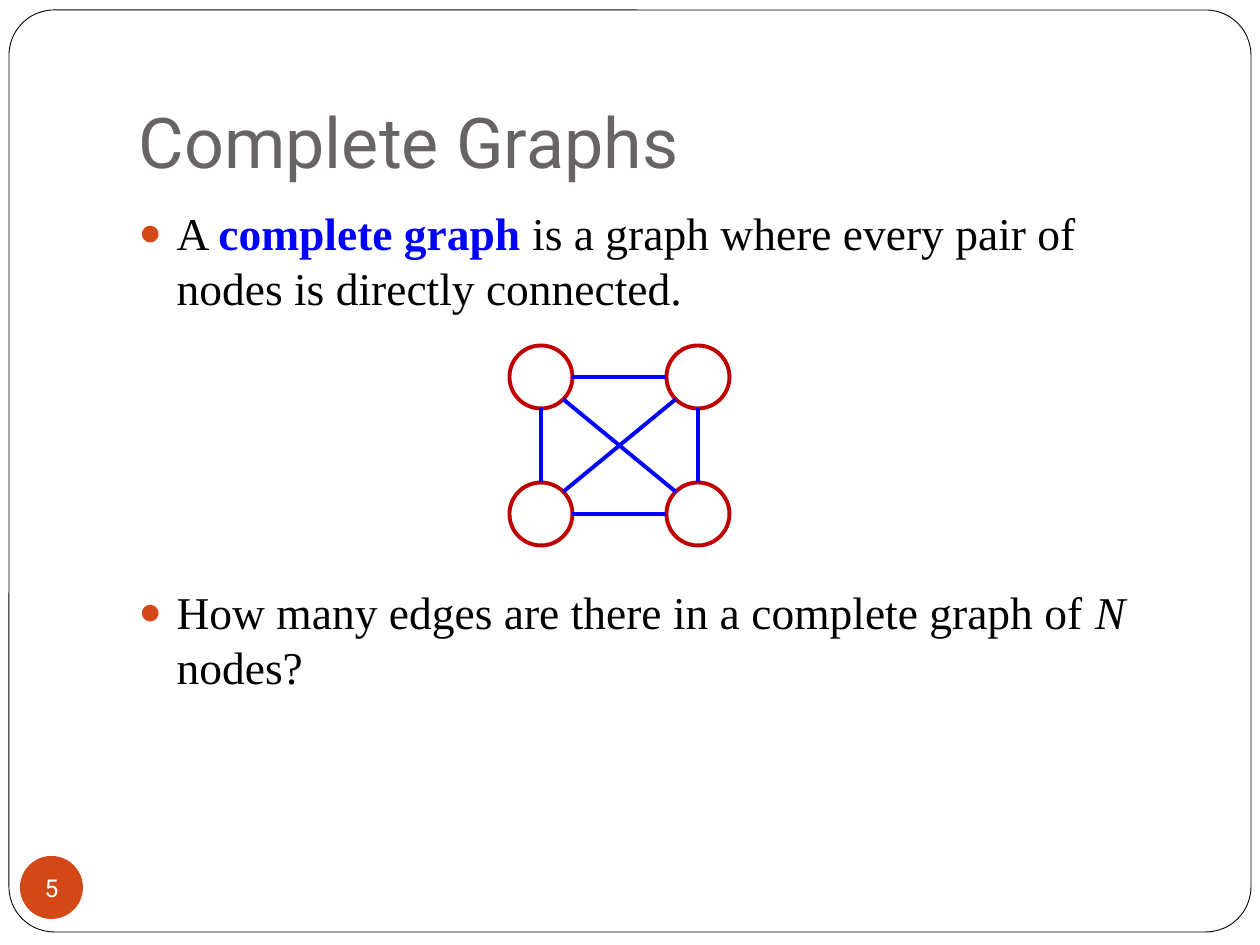
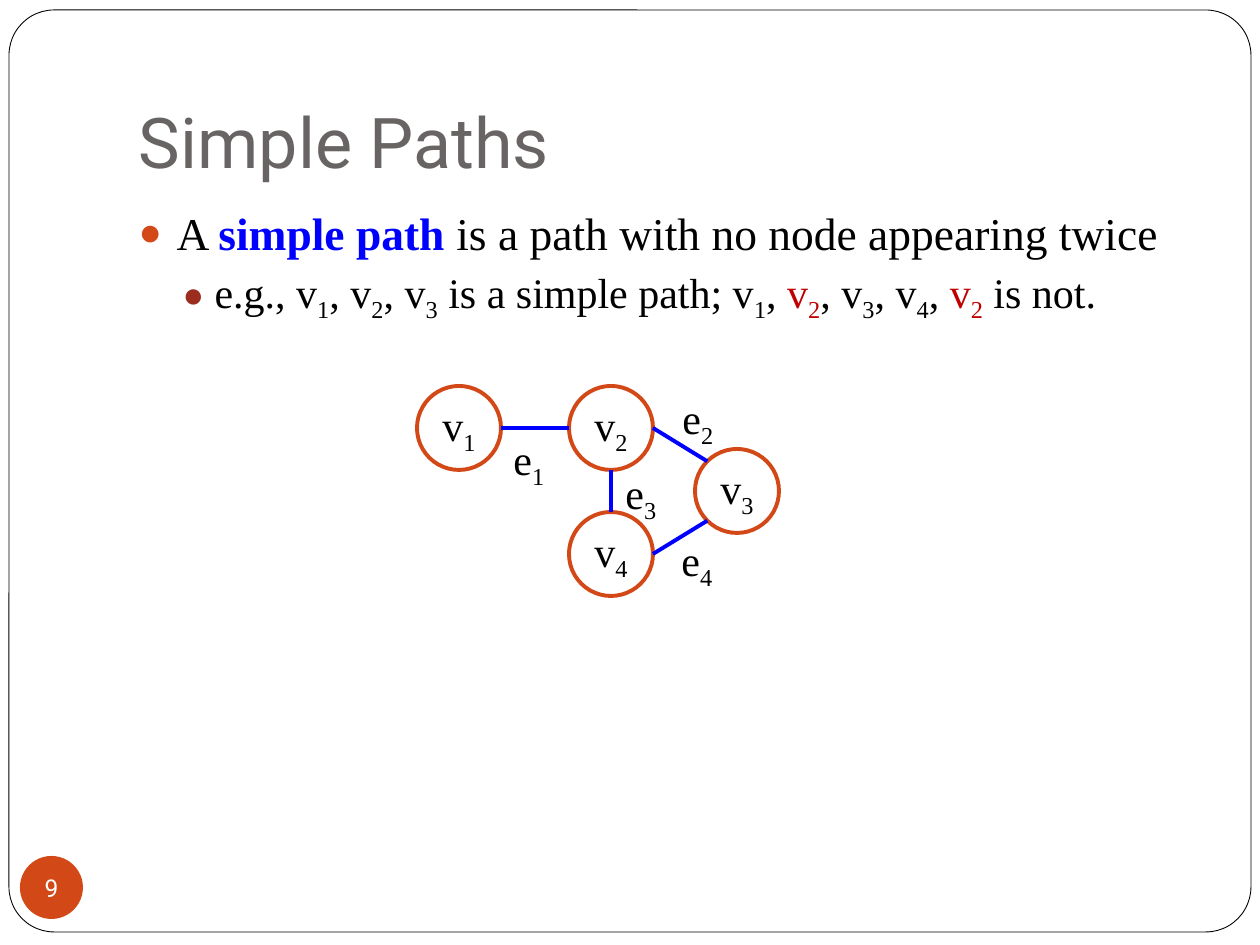
from dataclasses import dataclass
from math import sqrt

from lxml import etree
from pptx import Presentation
from pptx.dml.color import RGBColor
from pptx.enum.shapes import MSO_CONNECTOR, MSO_SHAPE
from pptx.enum.text import MSO_ANCHOR, MSO_AUTO_SIZE, PP_ALIGN
from pptx.oxml.ns import qn
from pptx.util import Emu, Pt

ELLIPSE, ROUNDED = MSO_SHAPE.OVAL, MSO_SHAPE.ROUNDED_RECTANGLE
STRAIGHT = MSO_CONNECTOR.STRAIGHT
MIDDLE, BOTTOM, TOP = MSO_ANCHOR.MIDDLE, MSO_ANCHOR.BOTTOM, MSO_ANCHOR.TOP
LEFT, CENTER = PP_ALIGN.LEFT, PP_ALIGN.CENTER
NO_AUTOFIT, GROW = MSO_AUTO_SIZE.NONE, MSO_AUTO_SIZE.SHAPE_TO_FIT_TEXT

PIXELS_PER_INCH = 126
DIAGONAL = sqrt(0.5)
RIM = {
    "top": (0, -1), "bottom": (0, 1), "left": (-1, 0), "right": (1, 0),
    "top left": (-DIAGONAL, -DIAGONAL), "top right": (DIAGONAL, -DIAGONAL),
    "bottom left": (-DIAGONAL, DIAGONAL), "bottom right": (DIAGONAL, DIAGONAL),
}


@dataclass(frozen=True)
class Theme:
    """Colours, fonts and type sizes of the deck."""
    heading_font: str = "Roboto"
    text_font: str = "Times New Roman"
    title: str = "696464"
    text: str = "000000"
    paper: str = "FFFFFF"
    accent: str = "D34817"
    second_bullet: str = "9B2D1F"
    blue: str = "0000FF"
    red: str = "C00000"
    title_size: int = 40
    body_size: int = 26
    graph_size: int = 24
    number_size: int = 14
    frame_width: float = 0.5
    graph_width: float = 2.25


THEME = Theme()
LEVELS = (
    {"size": THEME.body_size, "margin": 38, "hanging": 38, "before": 5.8, "bullet": THEME.accent},
    {"size": THEME.graph_size, "margin": 76, "hanging": 32, "before": 3.7, "bullet": THEME.second_bullet},
)
TERM = {"bold": True, "color": THEME.blue}
REPEATED = {"color": THEME.red}


def px(pixels):
    """Turn pixels into EMU."""
    return Emu(round(pixels * 914400 / PIXELS_PER_INCH))


def box(left, top, width, height):
    """Turn a pixel rectangle into EMU lengths."""
    return [px(length) for length in (left, top, width, height)]


def apply_format(target, values):
    """Set each named attribute of the target."""
    for name, value in values.items():
        setattr(target, name, value)


def indexed(letter, index, values=None):
    """Return the runs of a letter with a subscript."""
    values = values or {}
    return [(letter, values), (str(index), {**values, "subscript": True})]


def add_runs(paragraph, runs, size, font=THEME.text_font, color=THEME.text):
    """Append formatted runs to a paragraph."""
    for text, values in runs:
        run = paragraph.add_run()
        run.text = text
        apply_format(run.font, {"name": font, "size": Pt(size),
                                "bold": values.get("bold", False),
                                "italic": values.get("italic", False)})
        run.font.color.rgb = RGBColor.from_string(values.get("color", color))
        if values.get("subscript"):
            run._r.get_or_add_rPr().set("baseline", "-25000")


def add_shape(shapes, kind, bounds, fill=None, line=None, width=THEME.graph_width):
    """Add a flat preset shape."""
    shape = shapes.add_shape(kind, *box(*bounds))
    shape.shadow.inherit = False
    if fill:
        shape.fill.solid()
        shape.fill.fore_color.rgb = RGBColor.from_string(fill)
    else:
        shape.fill.background()
    if line:
        shape.line.color.rgb = RGBColor.from_string(line)
        shape.line.width = Pt(width)
    else:
        shape.line.fill.background()
    return shape


def add_frame(slide, master):
    """Draw the rounded page frame and hand it to the master."""
    frame = add_shape(slide.shapes, ROUNDED, (9, 10, 1242, 922),
                      THEME.paper, THEME.text, THEME.frame_width)
    frame.adjustments[0] = 0.049
    frame.element.nvSpPr.cNvPr.set("id", "20")
    master.shapes[0].element.addprevious(frame.element)


def add_number(slide, number):
    """Add the round page number."""
    badge = add_shape(slide.shapes, ELLIPSE, (20, 856, 63, 63), THEME.accent)
    apply_format(badge.text_frame, {
        "margin_left": 0, "margin_right": 0, "margin_top": 0, "margin_bottom": 0,
        "vertical_anchor": MIDDLE, "word_wrap": False})
    paragraph = badge.text_frame.paragraphs[0]
    paragraph.alignment = CENTER
    add_runs(paragraph, [(str(number), {})], THEME.number_size,
             THEME.heading_font, THEME.paper)


def place(shape, bounds):
    """Move a placeholder to pixel bounds."""
    apply_format(shape, dict(zip(("left", "top", "width", "height"), box(*bounds))))


def set_title(slide, text):
    """Fill and format the title placeholder."""
    title = slide.shapes.title
    place(title, (126, 38, 1071, 158))
    apply_format(title.text_frame, {
        "vertical_anchor": BOTTOM, "auto_size": NO_AUTOFIT, "word_wrap": True,
        "margin_left": px(13), "margin_right": px(13),
        "margin_top": px(6), "margin_bottom": px(13)})
    paragraph = title.text_frame.paragraphs[0]
    paragraph.alignment = LEFT
    add_runs(paragraph, [(text, {})], THEME.title_size, THEME.heading_font, THEME.title)


def set_bullet(paragraph, level):
    """Give a paragraph its hanging indent and coloured bullet."""
    properties = paragraph._p.get_or_add_pPr()
    properties.set("marL", str(px(level["margin"])))
    properties.set("indent", str(-px(level["hanging"])))
    color = etree.SubElement(properties, qn("a:buClr"))
    etree.SubElement(color, qn("a:srgbClr"), val=level["bullet"])
    etree.SubElement(properties, qn("a:buSzPct"), val="85000")
    etree.SubElement(properties, qn("a:buChar"), char="●")


def set_body(slide, items):
    """Fill the body placeholder with (level, space before, runs) items."""
    body = slide.placeholders[1]
    place(body, (126, 199, 1071, 630))
    frame = body.text_frame
    apply_format(frame, {"vertical_anchor": TOP, "auto_size": NO_AUTOFIT, "word_wrap": True})
    for position, (depth, before, runs) in enumerate(items):
        paragraph = frame.add_paragraph() if position else frame.paragraphs[0]
        level = LEVELS[depth]
        apply_format(paragraph, {"level": depth,
                                 "space_before": Pt(before or level["before"])})
        set_bullet(paragraph, level)
        add_runs(paragraph, runs, level["size"])


def add_node(shapes, center, diameter, color, runs=()):
    """Add a graph node around its centre."""
    left, top = (position - diameter / 2 for position in center)
    node = add_shape(shapes, ELLIPSE, (left, top, diameter, diameter), line=color)
    if runs:
        node.text_frame.vertical_anchor = MIDDLE
        paragraph = node.text_frame.paragraphs[0]
        paragraph.alignment = CENTER
        add_runs(paragraph, runs, THEME.graph_size)


def rim_point(center, diameter, side):
    """Return the point of a node's rim on the named side."""
    return [px(position + diameter / 2 * step) for position, step in zip(center, RIM[side])]


def add_edges(shapes, centers, diameter, edges):
    """Join node rims with lines."""
    for start, start_side, end, end_side in edges:
        line = shapes.add_connector(STRAIGHT, *rim_point(centers[start], diameter, start_side),
                                    *rim_point(centers[end], diameter, end_side))
        line.line.color.rgb = RGBColor.from_string(THEME.blue)
        line.line.width = Pt(THEME.graph_width)
        etree.SubElement(line.element.spPr, qn("a:effectLst"))


def add_edge_label(shapes, left, top, index):
    """Add the name of an edge on one line."""
    label = shapes.add_textbox(*box(left, top, 55, 63))
    apply_format(label.text_frame, {"word_wrap": True, "auto_size": GROW, "margin_right": 0})
    add_runs(label.text_frame.paragraphs[0], indexed("e", index), THEME.graph_size)


def add_complete_graph(slide):
    """Draw four nodes with every pair joined."""
    shapes = slide.shapes.add_group_shape().shapes
    diameter = 63
    centers = [(x, y) for y in (377, 514) for x in (541, 698)]
    for center in centers:
        add_node(shapes, center, diameter, THEME.red)
    add_edges(shapes, centers, diameter, (
        (0, "right", 1, "left"), (2, "right", 3, "left"),
        (0, "bottom", 2, "top"), (1, "bottom", 3, "top"),
        (0, "bottom right", 3, "top left"), (1, "bottom left", 2, "top right")))


def add_path_graph(slide):
    """Draw the named nodes and edges of the path example."""
    shapes = slide.shapes.add_group_shape().shapes
    diameter = 84
    centers = {1: (459, 428), 2: (611, 428), 3: (737, 491), 4: (611, 554)}
    for index, center in centers.items():
        add_node(shapes, center, diameter, THEME.accent, indexed("v", index))
    add_edges(shapes, centers, diameter, (
        (1, "right", 2, "left"), (2, "right", 3, "top left"),
        (4, "right", 3, "bottom left"), (4, "top", 2, "bottom")))
    for index, (left, top) in enumerate(((501, 427), (670, 386), (613, 461), (669, 528)), 1):
        add_edge_label(shapes, left, top, index)


def add_slide(presentation, title, number, items):
    """Add a slide with title, list and page number."""
    slide = presentation.slides.add_slide(presentation.slide_layouts[1])
    set_title(slide, title)
    add_number(slide, number)
    set_body(slide, items)
    return slide


def main():
    """Build and save the deck."""
    presentation = Presentation()
    presentation.slide_width, presentation.slide_height = px(1260), px(945)

    complete = add_slide(presentation, "Complete Graphs", 5, [
        (0, None, [("A ", {}), ("complete graph", TERM),
                   (" is a graph where every pair of nodes is directly connected.", {})]),
        (0, 154, [("How many edges are there in a complete graph of ", {}),
                  ("N", {"italic": True}), (" nodes?", {})]),
    ])
    add_frame(complete, presentation.slide_master)
    add_complete_graph(complete)

    simple = add_slide(presentation, "Simple Paths", 9, [
        (0, None, [("A ", {}), ("simple path ", TERM),
                   ("is a path with no node appearing twice", {})]),
        (1, None, [*indexed("e.g., v", 1), *indexed(", v", 2), *indexed(", v", 3),
                   *indexed(" is a simple path; v", 1), (", ", {}),
                   *indexed("v", 2, REPEATED), *indexed(", v", 3), *indexed(", v", 4),
                   (", ", {}), *indexed("v", 2, REPEATED), (" is not.", {})]),
    ])
    add_path_graph(simple)
    presentation.save("out.pptx")


main()
